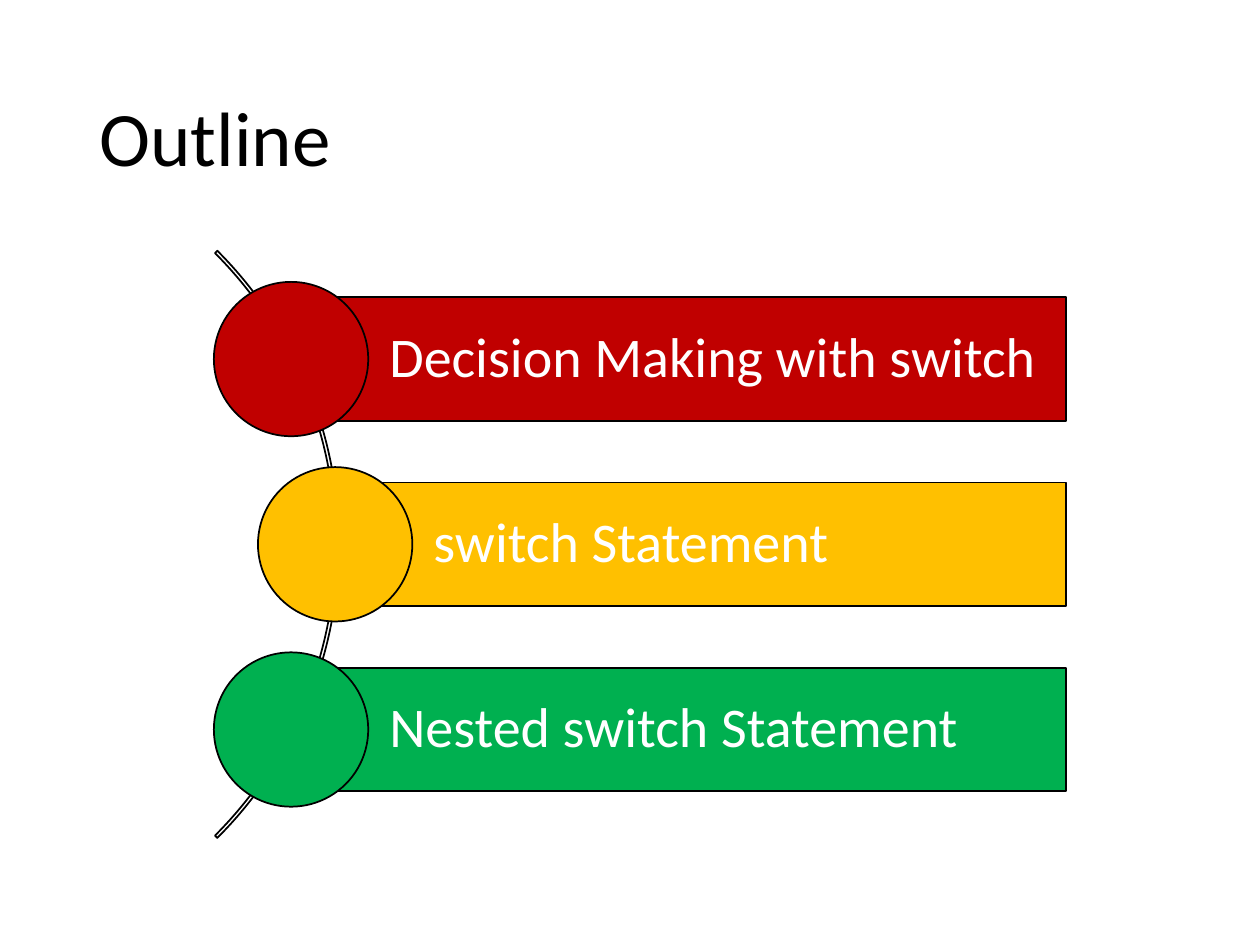
"""Build the outline slide: three topics strung along an arc."""
from pptx import Presentation
from pptx import util as u
from pptx.dml.color import RGBColor
from pptx.enum import shapes, text

COLORS = {"black": "000000", "white": "FFFFFF", "red": "C00000",
          "amber": "FFC000", "green": "00B050"}
TOPICS = [("Decision Making with switch", "red", 0),
          ("switch Statement", "amber", 0.35),
          ("Nested switch Statement", "green", 0)]
ROW = 0.49
PITCH, BAR, DOT = 3 * ROW, 2 * ROW, 2.5 * ROW
LEFT, RIGHT, MIDDLE = 2.31, 8.46, 4.32
ARC_LEFT, ARC = -3.9, 6.59


def write(tf, content, size, color, after=0):
    tf.word_wrap = True
    tf.auto_size = text.MSO_AUTO_SIZE.NONE
    tf.vertical_anchor = text.MSO_ANCHOR.MIDDLE
    p = tf.paragraphs[0]
    p.alignment = text.PP_ALIGN.LEFT
    p.line_spacing = 0.9
    p.space_after = u.Pt(after)
    r = p.add_run()
    r.text = content
    r.font.name = "Calibri"
    r.font.size = u.Pt(size)
    r.font.color.rgb = RGBColor.from_string(COLORS[color])


def add(kind, left, middle, width, height, fill=None):
    sp = s.shapes.add_shape(kind, u.Inches(left), u.Inches(middle - height / 2),
                            u.Inches(width), u.Inches(height))
    sp.shadow.inherit = False
    sp.line.color.rgb = RGBColor.from_string(COLORS["black"])
    sp.line.width = u.Pt(1)
    if fill:
        sp.fill.solid()
        sp.fill.fore_color.rgb = RGBColor.from_string(COLORS[fill])
    else:
        sp.fill.background()
    return sp


prs = Presentation()
prs.slide_width, prs.slide_height = u.Inches(10), u.Inches(7.5)
s = prs.slides.add_slide(prs.slide_layouts[5])

title = s.shapes.title
title.left, title.top = u.Inches(0.69), u.Inches(0.4)
title.width, title.height = u.Inches(8.62), u.Inches(1.45)
write(title.text_frame, "Outline", 44, "black")

arc = add(shapes.MSO_SHAPE.BLOCK_ARC, ARC_LEFT, MIDDLE, ARC, ARC)
for i, value in enumerate((189, 27, 0.004)):
    arc.adjustments[i] = value

for i, (topic, color, indent) in enumerate(TOPICS):
    x, y = LEFT + indent, MIDDLE + (i - 1) * PITCH
    bar = add(shapes.MSO_SHAPE.RECTANGLE, x, y, RIGHT - x, BAR, color)
    tf = bar.text_frame
    tf.margin_left = u.Inches(0.78)
    tf.margin_right = tf.margin_top = tf.margin_bottom = u.Inches(0.09)
    write(tf, topic, 32, "white")
    add(shapes.MSO_SHAPE.OVAL, x - DOT / 2, y, DOT, DOT, color)

prs.save("out.pptx")
